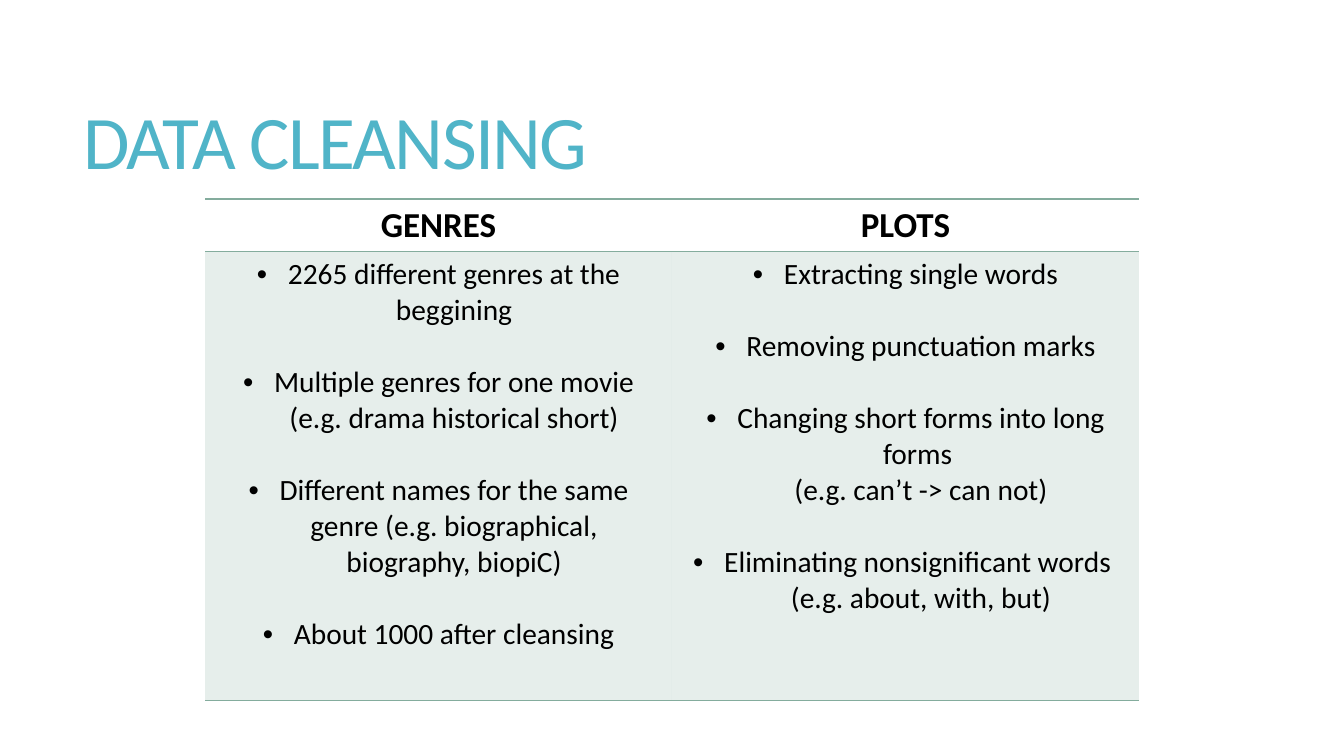
"""Build the data cleansing slide with a table of genre and plot steps."""
from dataclasses import dataclass

from lxml.etree import SubElement
from pptx import Presentation
from pptx.dml.color import RGBColor
from pptx.enum.text import MSO_ANCHOR, PP_ALIGN
from pptx.oxml import parse_xml
from pptx.oxml.ns import nsdecls, qn
from pptx.util import Pt


@dataclass(frozen=True)
class Theme:
    font: str = "Calibri"
    title_color: str = "50B4C8"
    text_color: str = "000000"
    accent: str = "84AC9D"
    accent_alpha: int = 20000
    title_size: int = 54
    heading_size: int = 25
    body_size: int = 21
    item_gap: float = 25.7


THEME = Theme()
PX = 914400 / 100.8


def px(pixels):
    return round(pixels * PX)


def write(paragraph, text, size, color=THEME.text_color, bold=False,
          align=PP_ALIGN.CENTER, line_spacing=None, before=0, tracking=0, bullet=None):
    paragraph.text = text
    paragraph.alignment = align
    paragraph.line_spacing = line_spacing
    paragraph.space_before = Pt(before)
    for run in paragraph.runs:
        run.font.name = THEME.font
        run.font.size = Pt(size)
        run.font.bold = bold
        run.font.color.rgb = RGBColor.from_string(color)
        if tracking:
            run.font._element.set("spc", str(tracking))
    if bullet:
        properties = paragraph._p.get_or_add_pPr()
        properties.set("marL", str(px(31)))
        properties.set("indent", str(px(-31)))
        SubElement(properties, qn("a:buFont"), typeface="Arial")
        SubElement(properties, qn("a:buChar"), char=bullet)


STEPS = {
    "GENRES": [
        "2265 different genres at the beggining",
        "Multiple genres for one movie (e.g. drama historical short)",
        "Different names for the same genre (e.g. biographical, biography, biopiC)",
        "About 1000 after cleansing",
    ],
    "PLOTS": [
        "Extracting single words",
        "Removing punctuation marks",
        "Changing short forms into long forms \v(e.g. can’t -> can not)",
        "Eliminating nonsignificant words \v(e.g. about, with, but)",
    ],
}

deck = Presentation()
deck.slide_width, deck.slide_height = px(1344), px(756)
slide = deck.slides.add_slide(deck.slide_layouts[5])

title = slide.shapes.title
title.left, title.top, title.width, title.height = px(73), px(55), px(1187), px(182)
title.text_frame.vertical_anchor = MSO_ANCHOR.MIDDLE
write(title.text_frame.paragraphs[0], "DATA CLEANSING", THEME.title_size,
      color=THEME.title_color, align=PP_ALIGN.LEFT, line_spacing=0.85, tracking=-120)

table = slide.shapes.add_table(2, len(STEPS), px(205), px(199), px(934), px(501)).table
table.horz_banding = False
table.rows[0].height, table.rows[1].height = px(52), px(449)

for column, (heading, items) in enumerate(STEPS.items()):
    table.columns[column].width = px(467)
    heading_cell, items_cell = table.cell(0, column), table.cell(1, column)

    heading_cell.vertical_anchor = MSO_ANCHOR.MIDDLE
    heading_cell.fill.background()
    write(heading_cell.text_frame.paragraphs[0], heading, THEME.heading_size, bold=True)

    items_cell.fill.solid()
    items_cell.fill.fore_color.rgb = RGBColor.from_string(THEME.accent)
    tint = items_cell._tc.tcPr.find(".//" + qn("a:srgbClr"))
    SubElement(tint, qn("a:alpha"), val=str(THEME.accent_alpha))
    for position, item in enumerate(items):
        frame = items_cell.text_frame
        paragraph = frame.add_paragraph() if position else frame.paragraphs[0]
        write(paragraph, item, THEME.body_size, bullet="•",
              before=THEME.item_gap if position else 0)

    for cell in (heading_cell, items_cell):
        rule = f'<a:solidFill><a:srgbClr val="{THEME.accent}"/></a:solidFill>'
        borders = {"lnL": "<a:noFill/>", "lnR": "<a:noFill/>", "lnT": rule, "lnB": rule}
        for order, (side, paint) in enumerate(borders.items()):
            border = parse_xml(f'<a:{side} {nsdecls("a")} w="{Pt(1)}">{paint}</a:{side}>')
            cell._tc.get_or_add_tcPr().insert(order, border)

deck.save("out.pptx")
